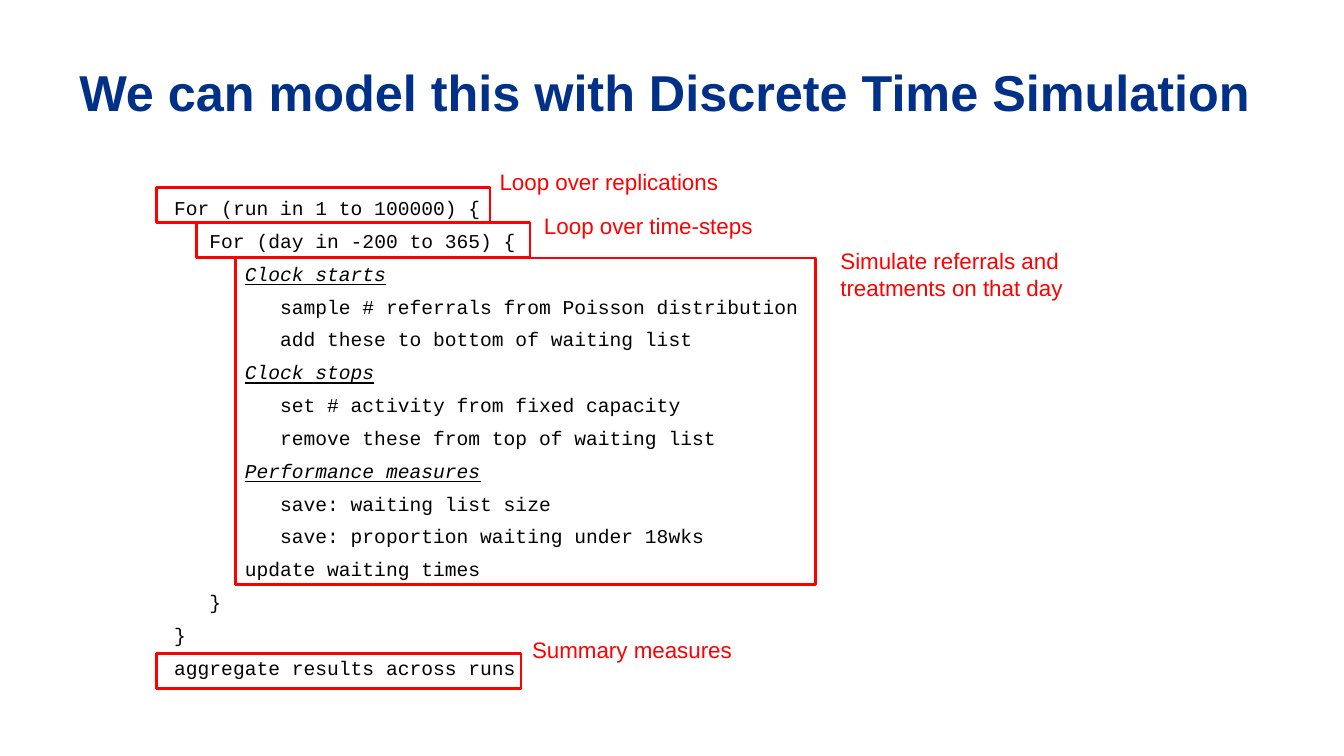
from pptx import Presentation
from pptx.dml.color import RGBColor
from pptx.enum.shapes import MSO_SHAPE
from pptx.enum.text import MSO_ANCHOR, PP_ALIGN
from pptx.util import Cm, Pt

RECTANGLE = MSO_SHAPE.RECTANGLE
MIDDLE = MSO_ANCHOR.MIDDLE
TOP = MSO_ANCHOR.TOP
LEFT = PP_ALIGN.LEFT

NAVY = RGBColor(0x00, 0x30, 0x87)
BLACK = RGBColor(0x00, 0x00, 0x00)
RED = RGBColor(0xFF, 0x00, 0x00)

TITLE_ONLY = 5
INDENT = Cm(0.89)

CODE_LINES = [
    (0, "For (run in 1 to 100000) {", False),
    (1, "For (day in -200 to 365) {", False),
    (2, "Clock starts", True),
    (3, "sample # referrals from Poisson distribution", False),
    (3, "add these to bottom of waiting list", False),
    (2, "Clock stops", True),
    (3, "set # activity from fixed capacity", False),
    (3, "remove these from top of waiting list", False),
    (2, "Performance measures", True),
    (3, "save: waiting list size", False),
    (3, "save: proportion waiting under 18wks", False),
    (2, "update waiting times", False),
    (1, "}", False),
    (0, "}", False),
    (0, "aggregate results across runs", False),
]

CALLOUTS = [
    ((3.94, 4.72, 8.41, 0.89), (12.34, 4.11, 6.6, 0.94), "Loop over replications"),
    ((4.95, 5.61, 8.41, 0.89), (13.46, 5.21, 6.6, 0.94), "Loop over time-steps"),
    ((5.94, 6.5, 14.61, 8.23), (20.93, 6.1, 6.6, 1.63),
     "Simulate referrals and treatments on that day"),
    ((3.94, 16.46, 9.19, 0.89), (13.16, 15.9, 6.6, 0.94), "Summary measures"),
]


def to_lengths(box):
    return [Cm(value) for value in box]


def add_run(paragraph, text, font_name, size, color):
    run = paragraph.add_run()
    run.text = text
    run.font.name = font_name
    run.font.size = Pt(size)
    run.font.color.rgb = color
    return run


def add_text_frame(slide, box):
    text_frame = slide.shapes.add_textbox(*to_lengths(box)).text_frame
    text_frame.word_wrap = True
    text_frame.vertical_anchor = TOP
    return text_frame


def add_title(slide, box, text):
    title = slide.shapes.title
    title.left, title.top, title.width, title.height = to_lengths(box)
    text_frame = title.text_frame
    text_frame.word_wrap = True
    text_frame.vertical_anchor = MIDDLE
    text_frame.margin_left = text_frame.margin_right = 0
    text_frame.margin_top = text_frame.margin_bottom = 0
    paragraph = text_frame.paragraphs[0]
    paragraph.alignment = LEFT
    run = add_run(paragraph, text, "Arial", 36, NAVY)
    run.font.bold = True


def add_code(slide, box, lines):
    text_frame = add_text_frame(slide, box)
    for index, (level, text, is_heading) in enumerate(lines):
        paragraph = text_frame.add_paragraph() if index else text_frame.paragraphs[0]
        paragraph.line_spacing = 0.8
        paragraph.space_before = Pt(10)
        properties = paragraph._p.get_or_add_pPr()
        properties.set("marL", str(level * INDENT))
        properties.set("indent", "0")
        run = add_run(paragraph, text, "Courier New", 14, BLACK)
        if is_heading:
            run.font.italic = True
            run.font.underline = True


def add_callout(slide, frame_box, note_box, text):
    frame = slide.shapes.add_shape(RECTANGLE, *to_lengths(frame_box))
    frame.shadow.inherit = False
    frame.fill.background()
    frame.line.color.rgb = RED
    frame.line.width = Pt(2)
    note = add_text_frame(slide, note_box)
    add_run(note.paragraphs[0], text, "Arial", 16, RED)


def build_simulation_slide(presentation):
    slide = presentation.slides.add_slide(presentation.slide_layouts[TITLE_ONLY])
    add_title(slide, (2, 1.52, 29.95, 1.55),
              "We can model this with Discrete Time Simulation")
    add_code(slide, (4.14, 4.93, 21.9, 13.08), CODE_LINES)
    for frame_box, note_box, text in CALLOUTS:
        add_callout(slide, frame_box, note_box, text)


def main():
    presentation = Presentation()
    presentation.slide_width = Cm(33.87)
    presentation.slide_height = Cm(19.05)
    build_simulation_slide(presentation)
    presentation.save("out.pptx")


if __name__ == "__main__":
    main()
